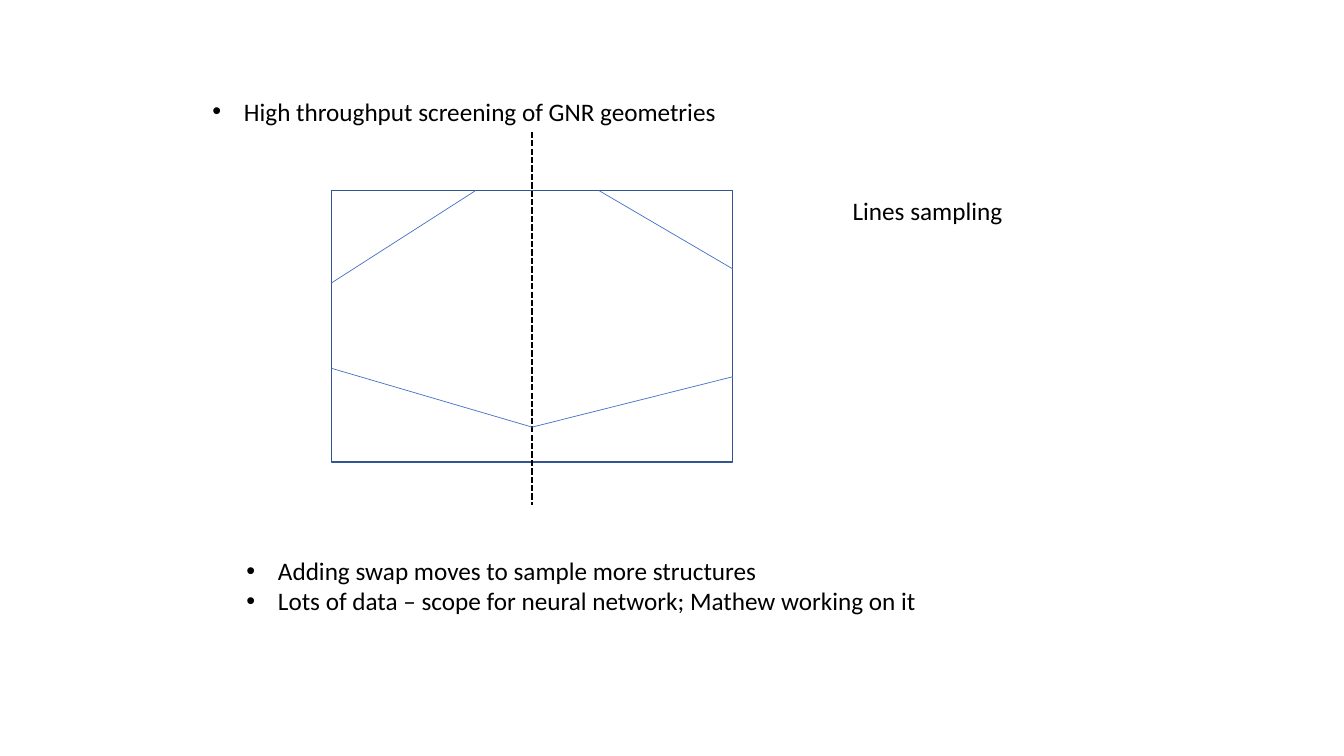
import pptx
import pptx.dml.color
import pptx.enum.dml
import pptx.enum.shapes
import pptx.enum.text
import pptx.util
import lxml.etree
import pptx.oxml.ns

Pt = pptx.util.Pt
RGBColor = pptx.dml.color.RGBColor
qn = pptx.oxml.ns.qn

BLACK = RGBColor(0x00, 0x00, 0x00)
FRAME_BLUE = RGBColor(0x32, 0x54, 0x91)
CUT_BLUE = RGBColor(0x44, 0x72, 0xC4)

TEXT_FORMAT = {"size": Pt(18), "name": "Calibri"}
FRAME_FORMAT = {"width": Pt(1)}
CUT_FORMAT = {"width": Pt(0.5)}
AXIS_FORMAT = {
    "width": Pt(1.5),
    "dash_style": pptx.enum.dml.MSO_LINE_DASH_STYLE.SQUARE_DOT,
}
NOTE_FORMAT = {
    "word_wrap": False,
    "auto_size": pptx.enum.text.MSO_AUTO_SIZE.SHAPE_TO_FIT_TEXT,
}
BULLET_INDENT = Pt(22.5)


def apply_format(target, values):
    """Set every attribute named in values on target."""
    for attribute, value in values.items():
        setattr(target, attribute, value)


def add_bullet(paragraph):
    """Give the paragraph a round bullet with a hanging indent."""
    properties = paragraph._p.get_or_add_pPr()
    properties.set("marL", str(BULLET_INDENT))
    properties.set("indent", str(-BULLET_INDENT))
    lxml.etree.SubElement(properties, qn("a:buFont")).set("typeface", "Arial")
    lxml.etree.SubElement(properties, qn("a:buChar")).set("char", "\u2022")


def add_notes(slide, box, notes, bulleted=True):
    """Write one paragraph per note in the box (left, top, width, height)."""
    frame = slide.shapes.add_textbox(*map(Pt, box)).text_frame
    apply_format(frame, NOTE_FORMAT)
    for index, note in enumerate(notes):
        paragraph = frame.paragraphs[0] if index == 0 else frame.add_paragraph()
        if bulleted:
            add_bullet(paragraph)
        wording = paragraph.add_run()
        wording.text = note
        apply_format(wording.font, TEXT_FORMAT)
        wording.font.color.rgb = BLACK


def add_segment(slide, origin, start, end, color, line_format):
    """Draw a straight line between two points measured from origin."""
    ends = [Pt(base + offset) for point in (start, end)
            for base, offset in zip(origin, point)]
    segment = slide.shapes.add_connector(
        pptx.enum.shapes.MSO_CONNECTOR.STRAIGHT, *ends)
    segment.line.color.rgb = color
    apply_format(segment.line, line_format)
    lxml.etree.SubElement(segment._element.spPr, qn("a:effectLst"))


def add_ribbon_cell(slide, box):
    """Draw the cell, its dashed mirror axis and the sampled cut lines."""
    left, top, width, height = box
    cell = slide.shapes.add_shape(
        pptx.enum.shapes.MSO_SHAPE.RECTANGLE, *map(Pt, box))
    cell.shadow.inherit = False
    cell.fill.background()
    cell.line.color.rgb = FRAME_BLUE
    apply_format(cell.line, FRAME_FORMAT)

    origin = (left, top)
    middle = width / 2
    add_segment(slide, origin, (middle, -42), (middle, height + 31),
                BLACK, AXIS_FORMAT)
    valley = (middle, 169)
    cuts = [
        ((0, 66), (103, 0)),
        ((0, 127), valley),
        (valley, (width, 133)),
        ((width, 56), (191, 0)),
    ]
    for start, end in cuts:
        add_segment(slide, origin, start, end, CUT_BLUE, CUT_FORMAT)


def build_sampling_slide(presentation):
    """Add the slide on screening and line sampling."""
    slide = presentation.slides.add_slide(presentation.slide_layouts[6])
    add_notes(slide, (144.7, 65, 378.7, 29),
              ["High throughput screening of GNR geometries"])
    add_ribbon_cell(slide, (236.8, 136.1, 286.6, 193.8))
    add_notes(slide, (602, 136.1, 126.7, 29), ["Lines sampling "], bulleted=False)
    add_notes(slide, (169, 393.1, 513.4, 51), [
        "Adding swap moves to sample more structures",
        "Lots of data \u2013 scope for neural network; Mathew working on it",
    ])


deck = pptx.Presentation()
apply_format(deck, {"slide_width": Pt(960), "slide_height": Pt(540)})
build_sampling_slide(deck)
deck.save("out.pptx")
